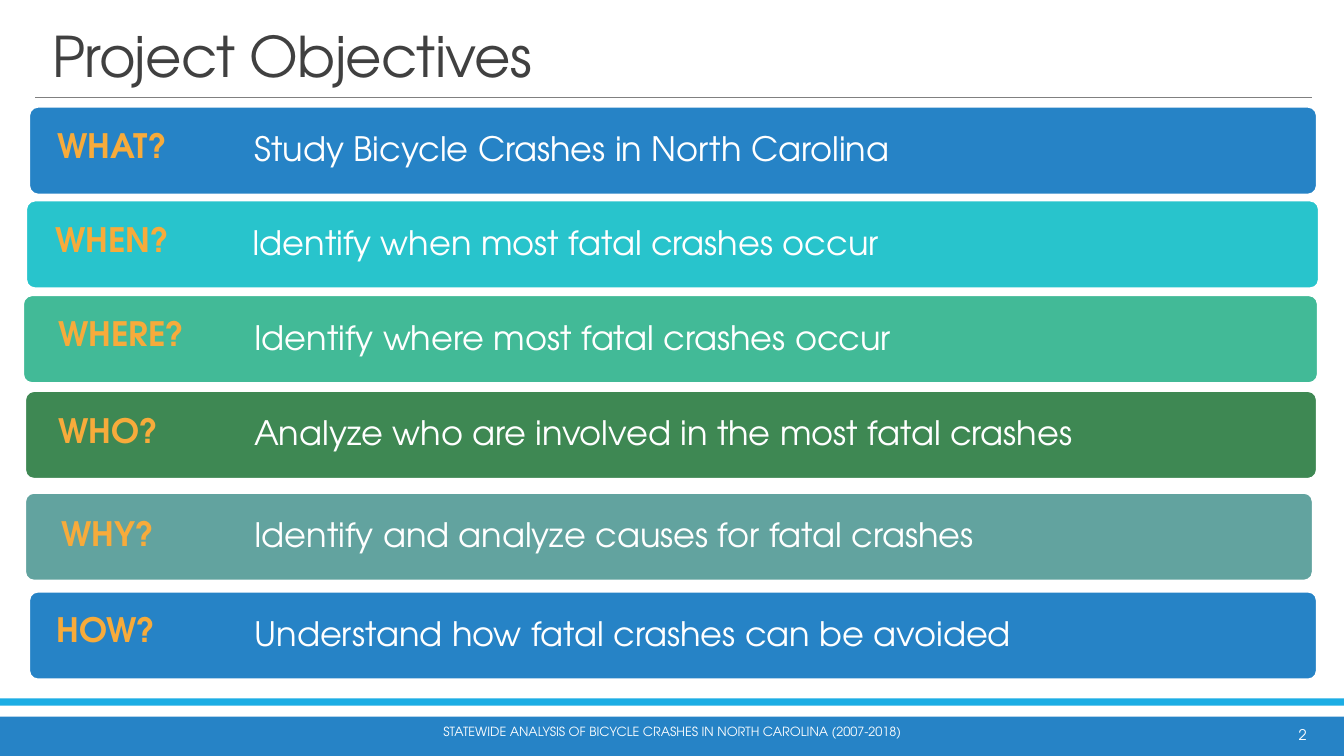
from pptx import Presentation
from pptx.dml.color import RGBColor
from pptx.enum.shapes import MSO_CONNECTOR as Conn, MSO_SHAPE as Shape
from pptx.enum.text import MSO_ANCHOR as Anchor, PP_ALIGN as Align
from pptx.oxml.ns import qn
from pptx.util import Inches, Pt
from lxml.etree import SubElement

FACE = "TeX Gyre Adventor"
WHITE = RGBColor(0xFF, 0xFF, 0xFF)
DARK = RGBColor(0x40, 0x40, 0x40)
GRAY = RGBColor(0x80, 0x80, 0x80)
BLUE = RGBColor(0x26, 0x83, 0xC6)
SKY = RGBColor(0x1C, 0xAD, 0xE4)
AQUA = RGBColor(0x28, 0xC4, 0xCC)
MINT = RGBColor(0x42, 0xBA, 0x97)
GREEN = RGBColor(0x3E, 0x88, 0x53)
TEAL = RGBColor(0x62, 0xA3, 0x9F)
AMBER = RGBColor(0xF7, 0xAB, 0x3B)

WIDE, HIGH = 13.33, 7.5
BAR_H = 0.87
TEXT_X = 2.44
PAD = 0.08

# Tag, goal, bar colour, bar left, top and width, tag left and drop below bar top
GOALS = [
    ("WHAT?", "Study Bicycle Crashes in North Carolina", BLUE, 0.29, 1.06, 12.77, 0.47, 0.18),
    ("WHEN?", "Identify when most fatal crashes occur", AQUA, 0.26, 1.99, 12.82, 0.45, 0.18),
    ("WHERE?", "Identify where most fatal crashes occur", MINT, 0.23, 2.93, 12.84, 0.48, 0.17),
    ("WHO?", "Analyze who are involved in the most fatal crashes", GREEN, 0.25, 3.88, 12.81, 0.48, 0.18),
    ("WHY?", "Identify and analyze causes for fatal crashes", TEAL, 0.25, 4.89, 12.77, 0.51, 0.19),
    ("HOW?", "Understand how fatal crashes can be avoided", BLUE, 0.29, 5.87, 12.77, 0.46, 0.17),
]

GOAL_PARA = {"line_spacing": 0.9, "space_after": Pt(8.4)}


def assign(obj, values):
    for name, value in values.items():
        setattr(obj, name, value)


def add_text(slide, box, text, size, color, bold=False, para=None, frame=None):
    """Add one line of text in box and return its run."""
    area = slide.shapes.add_textbox(*map(Inches, box)).text_frame
    assign(area, {"word_wrap": True, **(frame or {})})
    line = area.paragraphs[0]
    assign(line, para or {})
    run = line.add_run()
    run.text = text
    assign(run.font, {"name": FACE, "size": Pt(size), "bold": bold})
    run.font.color.rgb = color
    return run


def add_block(slide, kind, box, color):
    block = slide.shapes.add_shape(kind, *map(Inches, box))
    block.shadow.inherit = False
    block.fill.solid()
    block.fill.fore_color.rgb = color
    block.line.fill.background()
    return block


def add_head(slide, left, top, width, height):
    """Title with the thin rule below it."""
    run = add_text(slide, (left + 0.07, top, 11, height), "Project Objectives", 40, DARK,
                   para={"line_spacing": 0.85}, frame={"vertical_anchor": Anchor.BOTTOM})
    run.font._element.set("spc", "-50")
    y = Inches(top + height + 0.04)
    rule = slide.shapes.add_connector(Conn.STRAIGHT, Inches(left), y, Inches(left + width), y)
    rule.line.color.rgb = GRAY
    rule.line.width = Pt(0.5)
    SubElement(rule._element.spPr, qn("a:effectLst"))


def add_goal(slide, tag, goal, color, left, top, width, tag_x, drop):
    """One coloured bar with its question and its goal."""
    bar = add_block(slide, Shape.ROUNDED_RECTANGLE, (left, top, width, BAR_H), color)
    bar.adjustments[0] = 0.1
    bar.line.color.rgb = WHITE
    bar.line.width = Pt(1.25)
    inset = {f"margin_{side}": Inches(PAD) for side in ("left", "top", "right", "bottom")}
    x = TEXT_X - 0.02 if tag == "WHEN?" else TEXT_X
    add_text(slide, (x, top, left + width - x, BAR_H), goal, 24, WHITE,
             para=GOAL_PARA, frame={"vertical_anchor": Anchor.MIDDLE, **inset})
    add_text(slide, (tag_x, top + drop, 1.5, 0.46), tag, 24, AMBER, bold=True,
             para=GOAL_PARA, frame={"word_wrap": False})


def add_foot(slide, top, width, height):
    """Two bands, the report name and the page number."""
    add_block(slide, Shape.RECTANGLE, (0, top + 0.18, width, height - 0.18), BLUE)
    add_block(slide, Shape.RECTANGLE, (0, top, width, 0.07), SKY)
    middle = {"vertical_anchor": Anchor.MIDDLE}
    add_text(slide, (4.03, top + 0.13, 5.27, 0.4),
             "STATEWIDE ANALYSIS OF BICYCLE CRASHES IN NORTH CAROLINA (2007-2018)",
             9, WHITE, para={"alignment": Align.CENTER}, frame=middle)
    add_text(slide, (width - 1.7, top + 0.16, 1.43, 0.4), "2", 10.5, WHITE,
             para={"alignment": Align.RIGHT}, frame=middle)


def main():
    deck = Presentation()
    assign(deck, {"slide_width": Inches(WIDE), "slide_height": Inches(HIGH)})
    slide = deck.slides.add_slide(deck.slide_layouts[6])
    add_foot(slide, 6.93, WIDE, HIGH - 6.93)
    add_head(slide, 0.35, 0.07, 12.66, 0.86)
    for goal in GOALS:
        add_goal(slide, *goal)
    deck.save("out.pptx")


if __name__ == "__main__":
    main()
